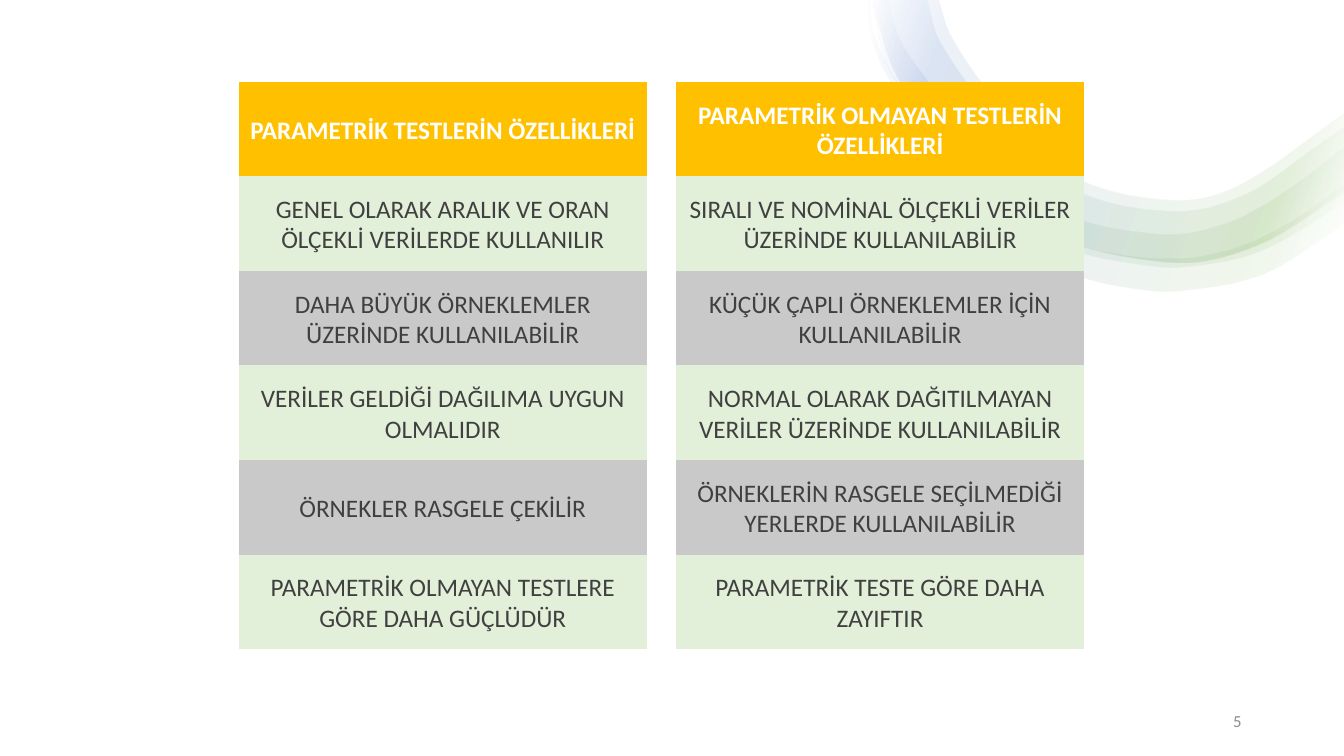
from math import dist
from lxml import etree
from pptx import Presentation, util as u
from pptx.dml.color import RGBColor
from pptx.enum import shapes, text
from pptx.oxml.ns import qn

FONT = "Calibri"
GREEN, GRAY, GOLD = "E2F0D9", "C9C9C9", "FFC000"
WHITE, DARK, PALE = "FFFFFF", "404040", "8C8C8C"

# Ribbon edges in centimetres from the corner of the ribbon region
CORE_LOWER = [(0.13, 0), (0.74, 1.91), (1.88, 3.43), (4.32, 5.74), (7.72, 6.6),
              (9.86, 6.15), (12.01, 4.83)]
RIBBONS = [
    ([(0, 0), (0.03, 0.36), (0.28, 1.42), (0.79, 2.39), (1.8, 3.91),
      (2.67, 5.13), (3.78, 6.2), (5.21, 6.93), (6.78, 7.29), (7.87, 7.34),
      (9.98, 6.91), (12.01, 5.66)],
     [(12.01, 4.65), (10.87, 5.46), (9.63, 6.12), (8.28, 6.48), (6.86, 6.48),
      (5.49, 6.22), (4.19, 5.64), (3.07, 4.8), (2.11, 3.73), (1.17, 2.59),
      (0.56, 1.7), (0.15, 0.69), (0.1, 0)]),
    ([(0.13, 0), (0.36, 1.3), (0.66, 1.96), (1.6, 3.4), (2.69, 4.83),
      (3.89, 5.77), (5.31, 6.35), (6.78, 6.65), (7.92, 6.73),
      (9.83, 6.35), (12.01, 5.11)],
     [(12.01, 3.71), (10.54, 4.8), (9.42, 5.46), (8.2, 5.84), (7.37, 5.89),
      (5.59, 5.59), (4.45, 4.98), (3.45, 4.17), (2.41, 3.1),
      (1.04, 1.37), (0.64, 0.51), (0.58, 0)]),
    (CORE_LOWER,
     [(12.01, 3.18), (11.3, 3.68), (9.53, 4.88), (7.72, 5.31), (5.11, 4.7),
      (3.02, 2.69), (1.83, 1.04), (1.52, 0)]),
    (CORE_LOWER,
     [(12.01, 2.84), (9.37, 4.65), (7.72, 5.03), (5.18, 4.42),
      (3.25, 2.54), (2.13, 0.94), (1.8, 0)]),
]
GRADIENT = [(2, "FFFFFF"), (16, "70AD47"), (85, "4472C4"), (100, "FFFFFF")]

PARAMETRIC = [
    "PARAMETRİK TESTLERİN ÖZELLİKLERİ",
    "GENEL OLARAK ARALIK VE ORAN ÖLÇEKLİ VERİLERDE KULLANILIR",
    "DAHA BÜYÜK ÖRNEKLEMLER ÜZERİNDE KULLANILABİLİR",
    "VERİLER GELDİĞİ DAĞILIMA UYGUN OLMALIDIR",
    "ÖRNEKLER RASGELE ÇEKİLİR",
    "PARAMETRİK OLMAYAN TESTLERE GÖRE DAHA GÜÇLÜDÜR",
]
NONPARAMETRIC = [
    "PARAMETRİK OLMAYAN TESTLERİN ÖZELLİKLERİ",
    "SIRALI VE NOMİNAL ÖLÇEKLİ VERİLER ÜZERİNDE KULLANILABİLİR",
    "KÜÇÜK ÇAPLI ÖRNEKLEMLER İÇİN KULLANILABİLİR",
    "NORMAL OLARAK DAĞITILMAYAN VERİLER ÜZERİNDE KULLANILABİLİR",
    "ÖRNEKLERİN RASGELE SEÇİLMEDİĞİ YERLERDE KULLANILABİLİR",
    "PARAMETRİK TESTE GÖRE DAHA ZAYIFTIR",
]


def color(value):
    return RGBColor.from_string(value)


def write(shape, words, size=18, ink=DARK, bold=False, align=text.PP_ALIGN.CENTER):
    frame = shape.text_frame
    frame.word_wrap = True
    frame.vertical_anchor = text.MSO_ANCHOR.MIDDLE
    para = frame.paragraphs[0]
    para.alignment = align
    span = para.add_run()
    span.text = words
    span.font.name, span.font.size, span.font.bold = FONT, u.Pt(size), bold
    span.font.color.rgb = color(ink)


def add_block(page, kind, left, top, width, height, fill):
    block = page.shapes.add_shape(kind, u.Cm(left), u.Cm(top), u.Cm(width), u.Cm(height))
    block.shadow.inherit = False
    block.fill.solid()
    block.fill.fore_color.rgb = color(fill)
    block.line.fill.background()
    return block


def bend(lines, points):
    """Turn the line segments between the points into smooth Bezier curves."""
    padded = [points[0], *points, points[-1]]
    for line, a, b, c, d in zip(lines, padded, padded[1:], padded[2:], padded[3:]):
        reach = dist(b, c) / 3
        leave = reach / (dist(a, b) + dist(b, c))
        arrive = reach / (dist(b, c) + dist(c, d))
        controls = ([q + (r - p) * leave for p, q, r in zip(a, b, c)],
                    [q - (r - p) * arrive for p, q, r in zip(b, c, d)])
        line.tag = qn("a:cubicBezTo")
        for index, (x, y) in enumerate(controls):
            point = etree.Element(qn("a:pt"), x=str(round(x)), y=str(round(y)))
            line.insert(index, point)


def fade(shape, stops, angle, opacity):
    """Give the shape a transparent linear gradient."""
    shape.fill.gradient()
    gradient = shape._element.spPr.find(qn("a:gradFill"))
    stop_list = gradient.find(qn("a:gsLst"))
    for old in list(stop_list):
        stop_list.remove(old)
    for position, value in stops:
        stop = etree.SubElement(stop_list, qn("a:gs"), pos=str(position * 1000))
        tint = etree.SubElement(stop, qn("a:srgbClr"), val=value)
        etree.SubElement(tint, qn("a:alpha"), val=str(opacity * 1000))
    gradient.find(qn("a:lin")).set("ang", str(angle * 60000))


def add_ribbons(page, left, top):
    for lower, upper in RIBBONS:
        outline = [(u.Cm(left + x), u.Cm(top + y)) for x, y in lower + upper]
        builder = page.shapes.build_freeform(*outline[0])
        builder.add_line_segments(outline[1:], close=True)
        ribbon = builder.convert_to_shape()
        ribbon.shadow.inherit = False
        ribbon.line.fill.background()
        fade(ribbon, GRADIENT, angle=200, opacity=10)

        # Only the two long edges curve; the ends stay straight
        geometry = ribbon._element.spPr
        lines = list(geometry.iter(qn("a:lnTo")))
        points = [(int(point.get("x")), int(point.get("y")))
                  for point in geometry.iter(qn("a:pt"))]
        turn = len(lower)
        bend(lines[:turn - 1], points[:turn])
        bend(lines[turn:], points[turn:])


def add_column(page, entries, left, top, width, height):
    row = height / len(entries)
    for index, words in enumerate(entries):
        header = index == 0
        fill = GOLD if header else GREEN if index % 2 else GRAY
        block = add_block(page, shapes.MSO_SHAPE.FLOWCHART_PROCESS,
                          left, top + index * row, width, row, fill)
        write(block, words, ink=WHITE if header else DARK, bold=header)


def add_page_number(page, number, left, top, width, height):
    box = page.shapes.add_textbox(u.Cm(left), u.Cm(top), u.Cm(width), u.Cm(height))
    write(box, number, size=12, ink=PALE, align=text.PP_ALIGN.RIGHT)


def main():
    deck = Presentation()
    deck.slide_width, deck.slide_height = u.Cm(33.87), u.Cm(19.05)
    page = deck.slides.add_slide(deck.slide_layouts[6])

    # Backdrop
    add_block(page, shapes.MSO_SHAPE.RECTANGLE, 0, 0, 33.87, 19.05, WHITE)
    add_ribbons(page, 21.85, 0)

    # Comparison columns
    for left, entries in ((6.02, PARAMETRIC), (17.04, NONPARAMETRIC)):
        add_column(page, entries, left, 2.06, 10.28, 14.3)

    # Footer
    add_page_number(page, "5", 23.92, 17.66, 7.62, 1.01)
    deck.save("out.pptx")


if __name__ == "__main__":
    main()
